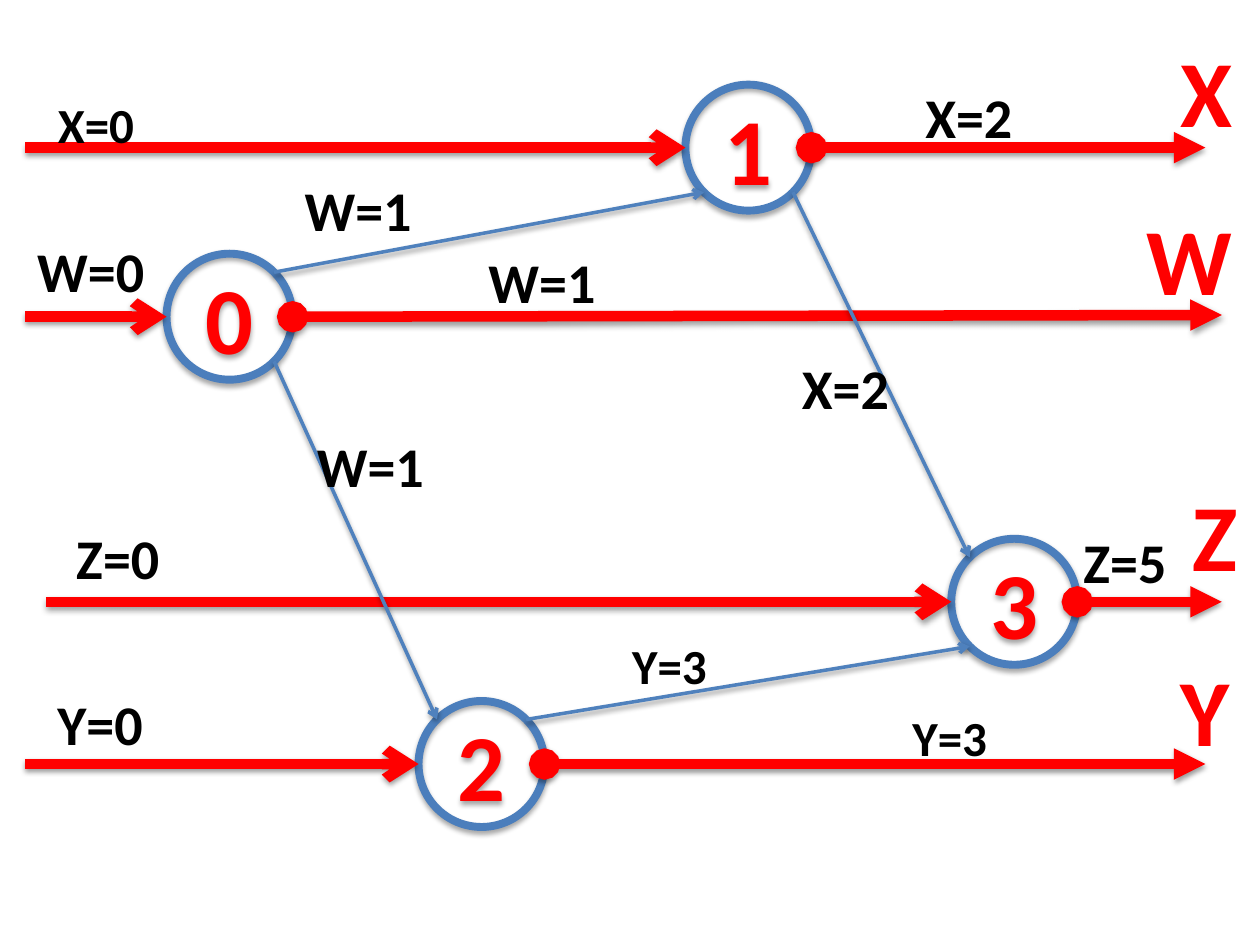
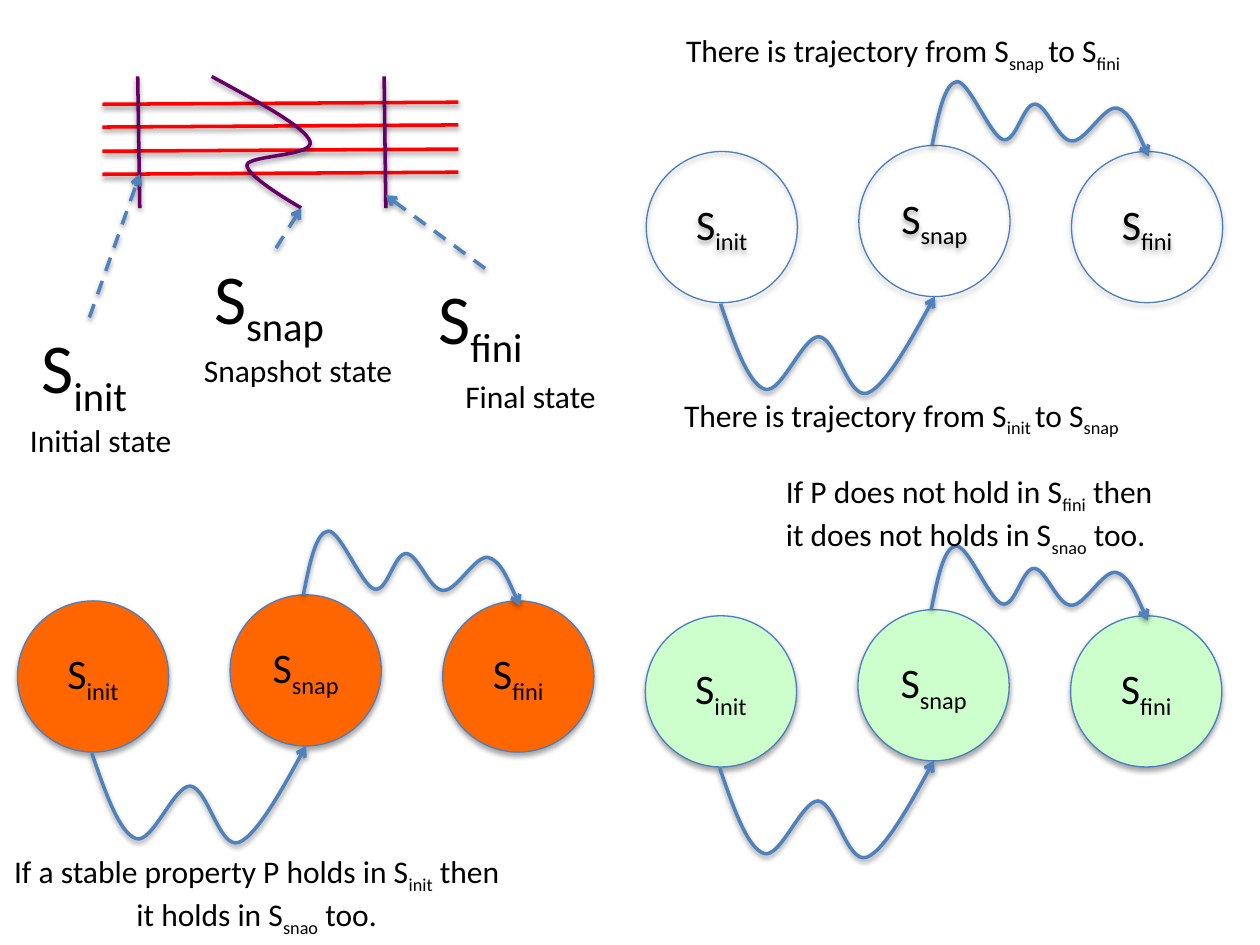
import math

import pptx
import pptx.dml.color
import pptx.enum.dml
import pptx.enum.shapes
import pptx.enum.text
import pptx.oxml
import pptx.oxml.ns
import pptx.util

Pt = pptx.util.Pt
ALIGN = pptx.enum.text.PP_ALIGN
FONT = "Calibri"
RED, BLACK, PURPLE = "FF0000", "000000", "660066"
BLUE, OUTLINE = "4F81BD", "4B7EBC"
ORANGE, GREEN = "FF6600", "CCFFCC"

# Slide 1: events on four variable lines. Lengths are points.
RADIUS = 36
NODES = {"0": (131.2, 181), "3": (579.6, 343.9), "1": (427.7, 84.4), "2": (275.2, 436.6)}
# node: start of the incoming line, end of the outgoing line
TIMELINES = {
    "0": ((14.4, 181), (698.2, 180)),
    "1": ((14.4, 84.4), (688.8, 84.4)),
    "3": ((26.3, 343.9), (698.2, 343.9)),
    "2": ((14.4, 436.6), (688.8, 436.6)),
}
MESSAGES = [("0", "1"), ("0", "2"), ("1", "3"), ("2", "3")]
# text, left, top, width
VARIABLES = [("W", 648, 111.6, 64), ("Z", 674.6, 269.3, 40.3),
             ("X", 667.4, 15.1, 44.6), ("Y", 667.4, 369.2, 43.2)]
# text, size, left, top, width
VALUES = [
    ("X=0", 28, 26, 50.4, 58.3), ("W=0", 32, 14.2, 131.8, 76.3),
    ("Z=0", 32, 36.5, 295.6, 62.6), ("Y=0", 32, 25.7, 390.2, 64.8),
    ("X=2", 32, 521.7, 43.6, 64.8), ("W=1", 32, 167, 96.9, 76.3),
    ("Y=3", 28, 514.3, 401, 58.3), ("Z=5", 32, 612, 298, 62.6),
    ("W=1", 32, 272, 137.9, 76.3), ("W=1", 32, 174, 242.9, 76.3),
    ("X=2", 32, 451.2, 198.7, 64.8), ("Y=3", 28, 354.2, 359.5, 58.3),
]

# Slide 2: in texts, every second part between bars is a subscript.
PROCESS_LEFT, PROCESS_RIGHT = 58.5, 261.9
PROCESS_TOPS = [59.6, 72.6, 86.4, 99.6]
CUTS = [((78.7, 43.7), (79.9, 118.9)), ((219.5, 43.7), (220.5, 118.9))]
# Curves: a start, then two control points and an end for each piece
SNAPSHOT_CUT = [
    (121, 43.7), (147.6, 58.3), (173.5, 72), (177.1, 80.6), (180.7, 89.3),
    (141.8, 88.6), (141.1, 94.3), (140.4, 100.8), (172.1, 118.8), (172.1, 118.8),
]
POINTERS = [((51.1, 181.4), (79.9, 99.6)), ((157.7, 141.8), (172.1, 118.9)),
            ((277.2, 153.4), (220.5, 111.6))]
# lines, size, left, top, width, alignment
TEXTS = [
    (["S|init"], 40, 16.6, 181.4, 69, ALIGN.LEFT),
    (["S|snap"], 40, 115.2, 141.8, 85, ALIGN.LEFT),
    (["S|fini"], 40, 243.4, 153.4, 67.7, ALIGN.LEFT),
    (["Initial state"], 18, 10, 236.9, 97.2, ALIGN.LEFT),
    (["Snapshot state"], 18, 109.4, 197.3, 123.8, ALIGN.LEFT),
    (["Final state"], 18, 258.8, 211.7, 90.7, ALIGN.LEFT),
    (["There is trajectory from S|init |to S|snap"], 18, 383.8, 222.5, 272, ALIGN.LEFT),
    (["There is trajectory from S|snap |to S|fini"], 18, 385, 14.4, 271.4, ALIGN.LEFT),
    (["If a stable property P holds in S|init| then ", "it holds in S|snao| too. "],
     18, 0, 483.6, 297.4, ALIGN.CENTER),
    (["If P does not hold in S|fini| then ", "it does not holds in S|snao| too. "],
     18, 442, 266.4, 228.2, ALIGN.LEFT),
]
# left and top of the first state, fill
TRAJECTORIES = [(369.3, 86.6, None), (10, 343.4, ORANGE), (368.8, 351.9, GREEN)]
STATE_SIZE, STATE_STEP = 86.4, 121.5
STATES = [("S|init", 0), ("S|snap", -3.5), ("S|fini", 0)]
# Measured from the corner of the first state
LOWER_WAVE = [
    (42.5, 87), (50.4, 110), (58.3, 132.5), (67.7, 135.8), (77, 139), (89.3, 105.8),
    (98.6, 105.8), (108.7, 106.4), (115.2, 141.8), (126.5, 138), (137.5, 133.9),
    (164.9, 82.8), (164.9, 82.8),
]
UPPER_WAVE = [
    (163.4, -3.6), (167, -21.8), (170.6, -39.3), (177.6, -39.9), (184.3, -40.5),
    (196.6, -9), (203.8, -6.8), (211.5, -4.6), (215.3, -27.6), (222.3, -27),
    (228.8, -26.8), (235.4, -6.2), (243.2, -6), (251.1, -5.4), (261.4, -26.2),
    (269, -24.8), (276.3, -23.2), (287.1, 2.8), (287.1, 2.8),
]


def rgb(value):
    """Turn a hex string into a colour."""
    return pptx.dml.color.RGBColor.from_string(value)


def add_shadow(sp, alpha, distance):
    """Give a shape or connector a soft shadow straight below it."""
    props = sp._element.spPr
    for old in props.findall(pptx.oxml.ns.qn("a:effectLst")):
        props.remove(old)
    props.append(pptx.oxml.parse_xml(
        f'<a:effectLst {pptx.oxml.ns.nsdecls("a")}>'
        f'<a:outerShdw blurRad="{Pt(3.1)}" dist="{Pt(distance)}" dir="5400000" '
        f'rotWithShape="0"><a:srgbClr val="000000"><a:alpha val="{alpha}000"/>'
        '</a:srgbClr></a:outerShdw></a:effectLst>'))


def style_line(sp, color, width, head=None, tail=None, dashed=False):
    """Set colour, width, dash and arrowheads of a line, then its shadow."""
    sp.line.color.rgb = rgb(color)
    sp.line.width = Pt(width)
    if dashed:
        sp.line.dash_style = pptx.enum.dml.MSO_LINE.DASH
    ln = sp.line._get_or_add_ln()
    for tag, kind in (("headEnd", head), ("tailEnd", tail)):
        if kind:
            ln.append(pptx.oxml.parse_xml(
                f'<a:{tag} {pptx.oxml.ns.nsdecls("a")} type="{kind}"/>'))
    add_shadow(sp, 38, 1.6)


def add_line(s, start, end, color, width, **ends):
    """Draw a straight line between two points."""
    sp = s.shapes.add_connector(pptx.enum.shapes.MSO_CONNECTOR.STRAIGHT,
                                *(Pt(v) for v in (*start, *end)))
    style_line(sp, color, width, **ends)


def add_curve(s, points, color, **ends):
    """Draw an open outline, then bend each segment into a cubic Bezier."""
    points = [(Pt(x), Pt(y)) for x, y in points]
    fb = s.shapes.build_freeform(*points[0])
    fb.add_line_segments(points[3::3], close=False)
    sp = fb.convert_to_shape()
    segments = list(sp._element.iter(pptx.oxml.ns.qn("a:lnTo")))
    for i, segment in enumerate(segments):
        pts = "".join(f'<a:pt x="{x - sp.left}" y="{y - sp.top}"/>'
                      for x, y in points[3 * i + 1:3 * i + 4])
        segment.getparent().replace(segment, pptx.oxml.parse_xml(
            f'<a:cubicBezTo {pptx.oxml.ns.nsdecls("a")}>{pts}</a:cubicBezTo>'))
    sp.fill.background()
    style_line(sp, color, 2, **ends)


def add_runs(p, text, size, color, bold):
    """Add runs to a paragraph; every second part is a subscript."""
    for i, part in enumerate(text.split("|")):
        r = p.add_run()
        r.text = part
        r.font.name, r.font.size, r.font.bold = FONT, Pt(size), bold
        r.font.color.rgb = rgb(color)
        if i % 2:
            r._r.get_or_add_rPr().set("baseline", "-25000")


def add_text(s, lines, size, left, top, width, align=ALIGN.LEFT, color=BLACK, bold=False):
    """Add an unwrapped text box whose height follows its lines."""
    height = 1.22 * size * len(lines) + 7.2
    sp = s.shapes.add_textbox(Pt(left), Pt(top), Pt(width), Pt(height))
    tf = sp.text_frame
    tf.word_wrap = False
    tf.auto_size = pptx.enum.text.MSO_AUTO_SIZE.SHAPE_TO_FIT_TEXT
    for i, line in enumerate(lines):
        p = tf.add_paragraph() if i else tf.paragraphs[0]
        p.alignment = align
        add_runs(p, line, size, color, bold)


def add_circle(s, left, top, diameter, text, size, color, bold, width, fill=None):
    """Add a labelled circle with a shadow."""
    sp = s.shapes.add_shape(pptx.enum.shapes.MSO_SHAPE.OVAL,
                            Pt(left), Pt(top), Pt(diameter), Pt(diameter))
    if fill:
        sp.fill.solid()
        sp.fill.fore_color.rgb = rgb(fill)
    else:
        sp.fill.background()
    sp.line.color.rgb = rgb(OUTLINE)
    sp.line.width = Pt(width)
    sp.shadow.inherit = False
    add_shadow(sp, 35, 1.8)
    tf = sp.text_frame
    tf.word_wrap = True
    tf.vertical_anchor = pptx.enum.text.MSO_ANCHOR.MIDDLE
    p = tf.paragraphs[0]
    p.alignment = ALIGN.CENTER
    add_runs(p, text, size, color, bold)


def build_events(s):
    """Draw the events, their variable lines and the messages."""
    for name, (x, y) in NODES.items():
        add_circle(s, x - RADIUS, y - RADIUS, 2 * RADIUS, name, 54, RED, True, 4.5)
    for name, (start, end) in TIMELINES.items():
        x, y = NODES[name]
        add_line(s, (x + RADIUS, y), end, RED, 6, head="oval", tail="triangle")
        add_line(s, start, (x - RADIUS, y), RED, 6, tail="arrow")
    reach = RADIUS * math.sqrt(0.5)
    for source, target in MESSAGES:
        (x1, y1), (x2, y2) = NODES[source], NODES[target]
        dy = math.copysign(reach, y2 - y1)
        add_line(s, (x1 + reach, y1 + dy), (x2 - reach, y2 - dy), BLUE, 2, tail="arrow")
    for text, left, top, width in VARIABLES:
        add_text(s, [text], 54, left, top, width, color=RED, bold=True)
    for text, size, left, top, width in VALUES:
        add_text(s, [text], size, left, top, width, bold=True)


def build_trajectory(s, left, top, fill):
    """Draw three states and the two waves that join them."""
    for i, (text, dy) in enumerate(STATES):
        add_circle(s, left + i * STATE_STEP, top + dy, STATE_SIZE, text, 24,
                   BLACK, False, 0.75, fill)
    for wave in (LOWER_WAVE, UPPER_WAVE):
        add_curve(s, [(left + x, top + y) for x, y in wave], BLUE, tail="arrow")


def build_states(s):
    """Draw the cuts through the processes and the three trajectories."""
    for y in PROCESS_TOPS:
        add_line(s, (PROCESS_LEFT, y), (PROCESS_RIGHT, y - 1.2), RED, 2)
    add_curve(s, SNAPSHOT_CUT, PURPLE)
    for start, end in CUTS:
        add_line(s, start, end, PURPLE, 2)
    for start, end in POINTERS:
        add_line(s, start, end, BLUE, 2, tail="arrow", dashed=True)
    for trajectory in TRAJECTORIES:
        build_trajectory(s, *trajectory)
    for text in TEXTS:
        add_text(s, *text)


prs = pptx.Presentation()
prs.slide_width, prs.slide_height = Pt(720), Pt(540)
for build in (build_events, build_states):
    build(prs.slides.add_slide(prs.slide_layouts[6]))
prs.save("out.pptx")
